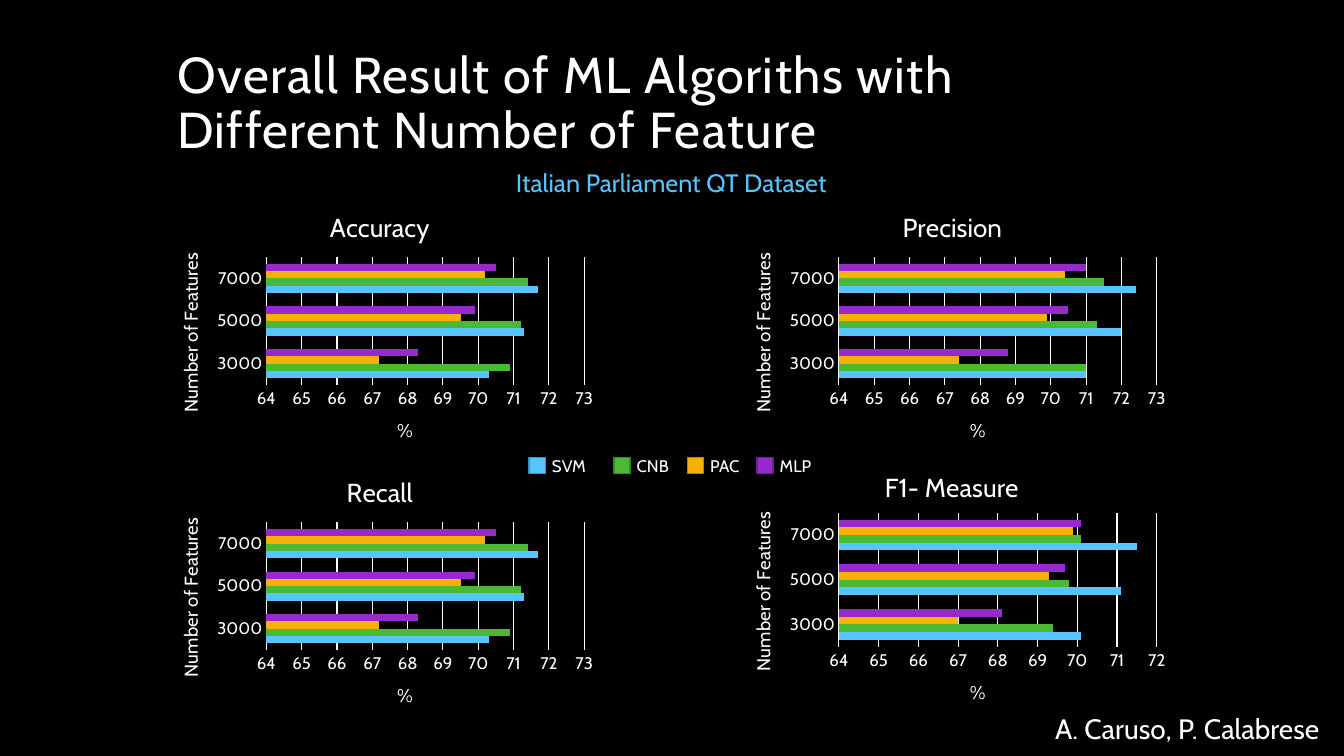
"""Build the slide comparing four classifiers over three feature counts."""
from dataclasses import dataclass

from lxml import etree
from pptx import Presentation
from pptx import util as u
from pptx.chart.data import CategoryChartData
from pptx.dml.color import RGBColor
from pptx.enum import chart as charts, shapes, text
from pptx.oxml.ns import qn

FONT = "Cabin"
BLACK = RGBColor(0x00, 0x00, 0x00)
WHITE = RGBColor(0xFF, 0xFF, 0xFF)
SKY = RGBColor(0x56, 0xC5, 0xFF)
SKY_EDGE = RGBColor(0x40, 0x92, 0xBD)
GREEN = RGBColor(0x4B, 0xB8, 0x36)
GREEN_EDGE = RGBColor(0x37, 0x88, 0x28)
AMBER = RGBColor(0xF8, 0xB0, 0x04)
AMBER_EDGE = RGBColor(0xB7, 0x82, 0x03)
PURPLE = RGBColor(0x97, 0x2A, 0xCD)
PURPLE_EDGE = RGBColor(0x70, 0x1F, 0x98)

FEATURE_COUNTS = ["3000", "5000", "7000"]
CHART_WIDTH, CHART_HEIGHT = 317.5, 194.4
LEFT_COLUMN, RIGHT_COLUMN = 112.3, 521.3


@dataclass(frozen=True)
class Algorithm:
    """A classifier with its colours and its place in the legend."""
    name: str
    fill: RGBColor
    edge: RGBColor
    legend_left: float


@dataclass(frozen=True)
class Metric:
    """One bar chart; title and plot positions are points inside it."""
    title: str
    left: float
    top: float
    title_left: float
    values: tuple[tuple[float, ...], ...]
    maximum: int = 73
    title_top: float = 7.6
    plot_top: float = 45.5
    plot_height: float = 91.3
    axis_title_top: float = 40


ALGORITHMS = [
    Algorithm("SVM", SKY, SKY_EDGE, 378),
    Algorithm("CNB", GREEN, GREEN_EDGE, 438.5),
    Algorithm("PAC", AMBER, AMBER_EDGE, 491),
    Algorithm("MLP", PURPLE, PURPLE_EDGE, 540.7),
]
SHARED_VALUES = ((70.3, 71.3, 71.7), (70.9, 71.2, 71.4),
                 (67.2, 69.5, 70.2), (68.3, 69.9, 70.5))
METRICS = [
    Metric("Accuracy", LEFT_COLUMN, 138.2, 120, SHARED_VALUES),
    Metric("Recall", LEFT_COLUMN, 327.6, 132, SHARED_VALUES),
    Metric("Precision", RIGHT_COLUMN, 138.2, 120,
           ((71, 72, 72.4), (71, 71.3, 71.5), (67.4, 69.9, 70.4), (68.8, 70.5, 71))),
    Metric("F1- Measure", RIGHT_COLUMN, 325.4, 107.5,
           ((70.1, 71.1, 71.5), (69.4, 69.8, 70.1), (67, 69.3, 69.9), (68.1, 69.7, 70.1)),
           maximum=72, title_top=6.5, plot_top=41, plot_height=95.5, axis_title_top=38),
]


def style_font(font, size: float, color: RGBColor = WHITE) -> None:
    """Apply the slide's typeface with a size and colour."""
    formats = {"name": FONT, "size": u.Pt(size), "bold": False}
    for attribute, value in formats.items():
        setattr(font, attribute, value)
    font.color.rgb = color


def add_label(parent, wording: str, left: float, top: float, width: float,
              height: float, size: float, color: RGBColor = WHITE) -> None:
    """Add a one-line text box that fits its text."""
    box = parent.add_textbox(u.Pt(left), u.Pt(top), u.Pt(width), u.Pt(height))
    formats = {"word_wrap": False, "auto_size": text.MSO_AUTO_SIZE.SHAPE_TO_FIT_TEXT}
    for attribute, value in formats.items():
        setattr(box.text_frame, attribute, value)
    span = box.text_frame.paragraphs[0].add_run()
    span.text = wording
    style_font(span.font, size, color)


def place(element, index: int, left: float, top: float,
          size: tuple[float, float] | None = None) -> None:
    """Give a chart element a manual layout, from points inside the chart."""
    for old in element.findall(qn("c:layout")):
        element.remove(old)
    layout = etree.Element(qn("c:layout"))
    element.insert(index, layout)
    manual = etree.SubElement(layout, qn("c:manualLayout"))
    settings = {"layoutTarget": "inner"} if size else {}
    settings |= {"xMode": "edge", "yMode": "edge",
                 "x": left / CHART_WIDTH, "y": top / CHART_HEIGHT}
    if size:
        settings |= {"w": size[0] / CHART_WIDTH, "h": size[1] / CHART_HEIGHT}
    for tag, value in settings.items():
        etree.SubElement(manual, qn(f"c:{tag}")).set("val", str(value))


def write_title(title, wording: str, size: float, left: float, top: float) -> None:
    """Write and place a chart or axis title."""
    span = title.text_frame.paragraphs[0].add_run()
    span.text = wording
    style_font(span.font, size)
    place(title._element, 1, left, top)


def clear_fill() -> etree._Element:
    """Return shape properties with no fill and no outline."""
    properties = etree.Element(qn("c:spPr"))
    etree.SubElement(properties, qn("a:noFill"))
    line = etree.SubElement(properties, qn("a:ln"))
    etree.SubElement(line, qn("a:noFill"))
    return properties


def add_metric(page, metric: Metric) -> None:
    """Draw the bar chart of one metric."""
    data = CategoryChartData()
    data.categories = FEATURE_COUNTS
    for algorithm, values in zip(ALGORITHMS, metric.values):
        data.add_series(algorithm.name, values)
    chart = page.shapes.add_chart(
        charts.XL_CHART_TYPE.BAR_CLUSTERED, u.Pt(metric.left), u.Pt(metric.top),
        u.Pt(CHART_WIDTH), u.Pt(CHART_HEIGHT), data).chart
    chart.has_legend = False
    style_font(chart.font, 10)
    write_title(chart.chart_title, metric.title, 18.6, metric.title_left, metric.title_top)

    plot = chart.plots[0]
    for attribute, value in {"gap_width": 182, "overlap": 0, "vary_by_categories": False}.items():
        setattr(plot, attribute, value)
    for series, algorithm in zip(plot.series, ALGORITHMS):
        series.format.fill.solid()
        series.format.fill.fore_color.rgb = algorithm.fill

    scale = {"minimum_scale": 64, "maximum_scale": metric.maximum, "major_unit": 1,
             "has_major_gridlines": True}
    for attribute, value in scale.items():
        setattr(chart.value_axis, attribute, value)
    for axis in (chart.category_axis, chart.value_axis):
        axis.major_tick_mark = axis.minor_tick_mark = charts.XL_TICK_MARK.NONE
        style_font(axis.tick_labels.font, 12)
    for line in (chart.category_axis.format.line, chart.value_axis.major_gridlines.format.line):
        line.color.rgb = WHITE
        line.width = u.Pt(0.75)
    chart.value_axis.format.line.fill.background()
    write_title(chart.category_axis.axis_title, "Number of Features", 13.3,
                12.3, metric.axis_title_top)
    write_title(chart.value_axis.axis_title, "%", 13.3, 169, 157.8)

    frame = chart._chartSpace.find(qn("c:chart"))
    area = frame.find(qn("c:plotArea"))
    place(area, 0, 78, metric.plot_top, (227, metric.plot_height))
    area.append(clear_fill())
    frame.addnext(clear_fill())


def add_legend(page) -> None:
    """Draw the shared legend as a group of swatches and names."""
    legend = page.shapes.add_group_shape().shapes
    for algorithm in ALGORITHMS:
        swatch = legend.add_shape(shapes.MSO_SHAPE.RECTANGLE, u.Pt(algorithm.legend_left),
                                  u.Pt(326.9), u.Pt(11.5), u.Pt(11.5))
        swatch.shadow.inherit = False
        swatch.fill.solid()
        swatch.fill.fore_color.rgb = algorithm.fill
        swatch.line.color.rgb = algorithm.edge
        swatch.line.width = u.Pt(1)
        add_label(legend, algorithm.name, algorithm.legend_left + 9.2, 321.8, 42, 21.6, 12)


def add_heading(page) -> None:
    """Place and format the slide title."""
    title = page.shapes.title
    bounds = {"left": 119.5, "top": 9.4, "width": 720, "height": 108}
    for attribute, value in bounds.items():
        setattr(title, attribute, u.Pt(value))
    formats = {"vertical_anchor": text.MSO_ANCHOR.BOTTOM, "word_wrap": True,
               "auto_size": text.MSO_AUTO_SIZE.NONE, "margin_right": u.Pt(24)}
    for attribute, value in formats.items():
        setattr(title.text_frame, attribute, value)
    para = title.text_frame.paragraphs[0]
    para.alignment = text.PP_ALIGN.LEFT
    para.line_spacing = 0.9
    span = para.add_run()
    span.text = "Overall Result of ML Algoriths with Different Number of Feature"
    style_font(span.font, 36)
    span._r.get_or_add_rPr().set("spc", "100")


def main() -> None:
    """Assemble and save the deck."""
    deck = Presentation()
    deck.slide_width, deck.slide_height = u.Pt(960), u.Pt(540)
    page = deck.slides.add_slide(deck.slide_layouts[5])
    page.background.fill.solid()
    page.background.fill.fore_color.rgb = BLACK
    add_heading(page)
    add_label(page.shapes, "A. Caruso, P. Calabrese", 746.6, 504.7, 208, 31.5, 20)
    for metric in METRICS:
        add_metric(page, metric)
    add_legend(page)
    add_label(page.shapes, "Italian Parliament QT Dataset", 361.4, 115.9, 240, 29, 18, SKY)
    deck.save("out.pptx")


if __name__ == "__main__":
    main()
